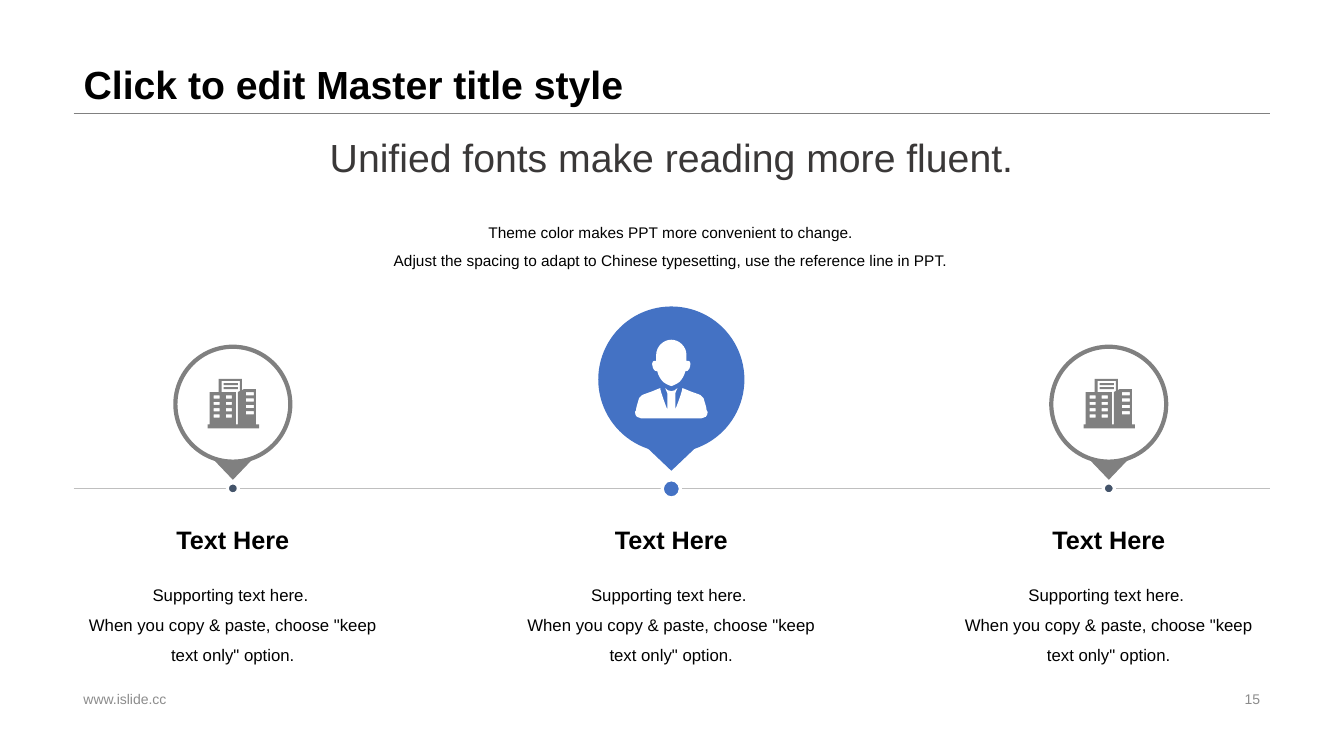
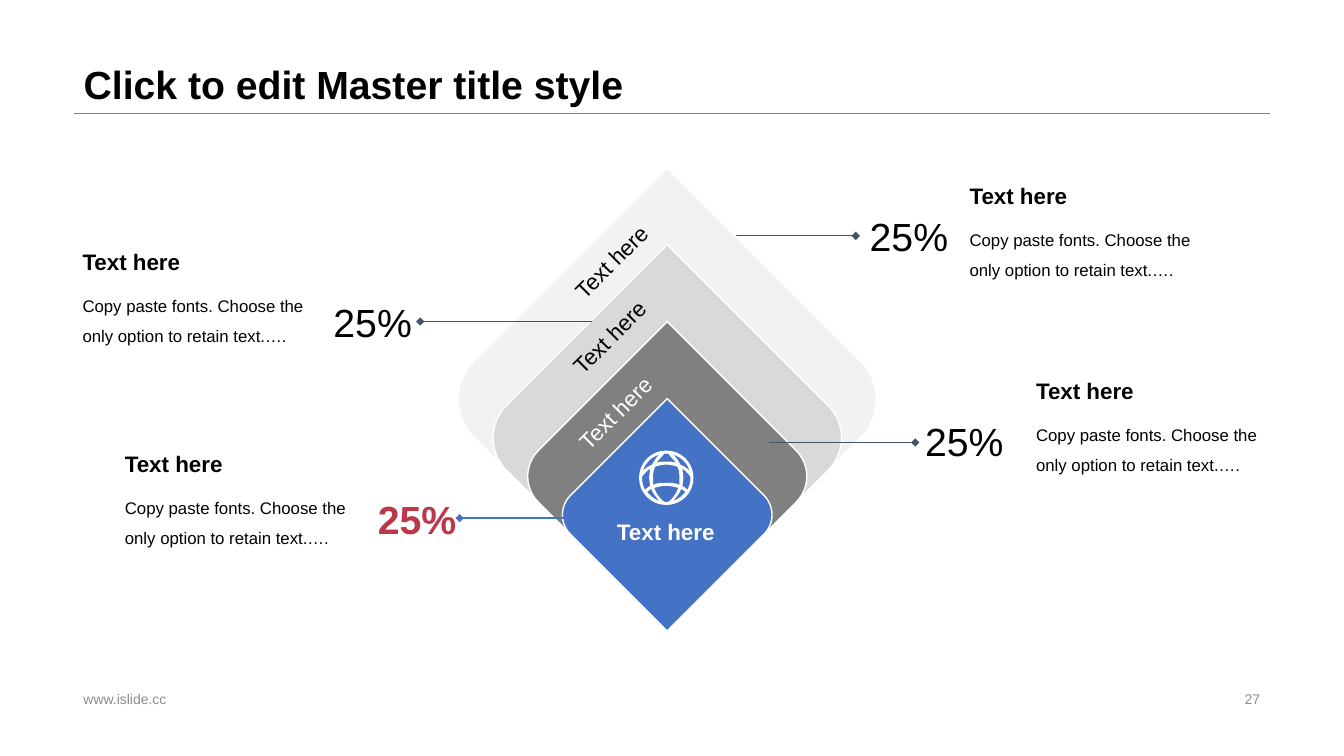
import math

import lxml.etree
import pptx
import pptx.dml.color
import pptx.enum.shapes
import pptx.enum.text
import pptx.oxml.ns
import pptx.util

PX = 9144  # EMU in one px, at 100 px to the inch
FONT = "Arial"
BLACK = pptx.dml.color.RGBColor(0x00, 0x00, 0x00)
WHITE = pptx.dml.color.RGBColor(0xFF, 0xFF, 0xFF)
CHARCOAL = pptx.dml.color.RGBColor(0x3A, 0x38, 0x38)
GRAY = pptx.dml.color.RGBColor(0x80, 0x80, 0x80)
FOOTER_GRAY = pptx.dml.color.RGBColor(0x8C, 0x8C, 0x8C)
SILVER = pptx.dml.color.RGBColor(0xBF, 0xBF, 0xBF)
LIGHT = pptx.dml.color.RGBColor(0xD9, 0xD9, 0xD9)
PALE = pptx.dml.color.RGBColor(0xF2, 0xF2, 0xF2)
SLATE = pptx.dml.color.RGBColor(0x44, 0x54, 0x6A)
BLUE = pptx.dml.color.RGBColor(0x44, 0x72, 0xC4)
RED = pptx.dml.color.RGBColor(0xBD, 0x37, 0x4A)

SHAPE = pptx.enum.shapes.MSO_SHAPE
STRAIGHT = pptx.enum.shapes.MSO_CONNECTOR.STRAIGHT
ALIGN = pptx.enum.text.PP_ALIGN
ANCHOR = pptx.enum.text.MSO_ANCHOR
qn = pptx.oxml.ns.qn


def write(page, text, left, top, width, height, *, size, color=BLACK, bold=False,
          align=ALIGN.LEFT, anchor=ANCHOR.TOP, spacing=1.0, wrap=True, rotation=0, box=None):
    """Put text, one paragraph a line, in a new text box or in the given one."""
    if box is None:
        box = page.shapes.add_textbox(0, 0, 0, 0)
    box.left, box.top, box.width, box.height = (n * PX for n in (left, top, width, height))
    box.rotation = rotation
    frame = box.text_frame
    frame.text = text
    frame.word_wrap = wrap
    frame.auto_size = pptx.enum.text.MSO_AUTO_SIZE.NONE
    frame.vertical_anchor = anchor
    for para in frame.paragraphs:
        para.alignment = align
        para.line_spacing = spacing
        para.font.name = FONT
        para.font.size = pptx.util.Pt(size)
        para.font.bold = bold
        para.font.color.rgb = color


def draw_icon(page, contours, left, top, color, mirror=False):
    """Fill contours whose steps are one point (line) or three (cubic curve).

    With mirror, x is measured from the axis: a contour that starts on the axis
    is completed by its reflection, any other one is drawn on both sides.
    """
    outlines = []
    for contour in contours:
        points = [point for step in contour for point in step]
        lengths = [len(step) for step in contour[1:]]
        reflection = [(-x, y) for x, y in reversed(points)]
        if not mirror:
            outlines.append((points, lengths))
        elif points[0][0] == 0:
            outlines.append((points + reflection[1:], lengths + lengths[::-1]))
        else:
            outlines += [(points, lengths), (reflection, lengths[::-1])]

    builder = None
    for points, lengths in outlines:
        scaled = [((left + x) * PX, (top + y) * PX) for x, y in points]
        if builder is None:
            builder = page.shapes.build_freeform(*scaled[0])
        else:
            builder.move_to(*scaled[0])
        builder.add_line_segments(scaled[1:], close=True)
    icon = builder.convert_to_shape()
    icon.fill.solid()
    icon.fill.fore_color.rgb = color
    icon.line.fill.background()

    # Three points in a row become one cubic curve
    segments = iter(list(icon.element.iter(qn("a:lnTo"))))
    for points, lengths in outlines:
        for length in lengths:
            segment = next(segments)
            if length == 3:
                segment.tag = qn("a:cubicBezTo")
                for _ in range(2):
                    follower = next(segments)
                    segment.append(follower[0])
                    follower.getparent().remove(follower)


# Icons
building = [
    [[(11, 0)], [(34, 0)], [(34, 11)], [(36, 10)], [(48, 10)], [(48, 45)], [(51, 45)],
     [(51, 49)], [(0, 49)], [(0, 45)], [(2, 45)], [(2, 13)], [(11, 13)]],
    [[(14, 2)], [(14, 13)], [(28, 13)], [(28, 45)], [(30, 45)], [(30, 13)], [(32, 12)], [(32, 2)]],
]
openings = [(16, y, 14, 2) for y in (4, 8)]
for x, first_row, width in ((6, 16.3, 6), (18, 16.3, 6), (38, 13, 8)):
    openings += [(x, first_row + 6.3 * row, width, 3.2) for row in range(4)]
for x, y, width, height in openings:
    building.append([[(x, y)], [(x + width, y)], [(x + width, y + height)], [(x, y + height)]])

person = [
    [[(0, 0)], [(8, 0), (15, 7), (15, 15)], [(15, 16), (15, 20), (15, 21)],
     [(15, 21), (19, 20), (19, 24)], [(18, 33), (14, 31), (14, 31)],
     [(13, 36), (10, 40), (8, 42)], [(4, 45), (0, 46), (0, 46)]],
    [[(0, 51)], [(2, 51), (5, 50), (6, 48)], [(4, 53)], [(4, 69)],
     [(5, 67), (11, 51), (11, 48)], [(14, 49), (18, 51), (21, 52)],
     [(21, 52), (27, 54), (29, 55)], [(30, 56), (31, 57), (32, 58)],
     [(33, 62), (35, 67), (35, 70)], [(36, 71), (36, 72), (36, 72)],
     [(36, 76), (33, 78), (30, 78)], [(0, 78)]],
]

globe = [
    [[(0, 0)], [(15, 0), (27, 12), (27, 27)], [(27, 42), (15, 54), (0, 54)]],
    [[(0, 3)], [(2, 3)], [(4, 6), (7, 9), (10, 12)], [(7, 11), (4, 11), (0, 11)]],
    [[(0, 14)], [(4, 14), (8, 15), (11, 16)], [(13, 20), (13, 23), (13, 27)],
     [(13, 29), (13, 32), (13, 34)], [(9, 32), (5, 32), (0, 32)]],
    [[(0, 35)], [(4, 35), (8, 36), (12, 37)], [(10, 43), (6, 48), (2, 51)], [(0, 51)]],
    [[(23, 20)], [(20, 17), (17, 15), (14, 14)], [(12, 10), (10, 7), (7, 4)],
     [(15, 7), (21, 12), (23, 20)]],
    [[(16, 35)], [(16, 33), (17, 30), (17, 27)], [(17, 24), (16, 21), (16, 18)],
     [(19, 20), (22, 23), (24, 26)], [(24, 27)], [(24, 32), (23, 35), (21, 39)],
     [(19, 37), (18, 36), (16, 35)]],
    [[(7, 50)], [(10, 46), (13, 43), (15, 38)], [(16, 39), (18, 40), (19, 41)],
     [(16, 45), (12, 48), (7, 50)]],
]

# Pages with title, rule, address and number
deck = pptx.Presentation()
deck.slide_width = round(1333.33 * PX)
deck.slide_height = 750 * PX
pages = []
for number in ("15", "27"):
    page = deck.slides.add_slide(deck.slide_layouts[5])
    pages.append(page)
    rule = page.shapes.add_connector(STRAIGHT, 73 * PX, 112 * PX, 1260 * PX, 112 * PX)
    rule.line.color.rgb = GRAY
    rule.line.width = pptx.util.Pt(0.25)
    write(page, "Click to edit Master title style", 73, 0, 1187, 112, size=28, bold=True,
          anchor=ANCHOR.BOTTOM, spacing=0.9, box=page.shapes.title)
    write(page, "www.islide.cc", 73, 682, 453, 23, size=10, color=FOOTER_GRAY,
          anchor=ANCHOR.MIDDLE)
    write(page, number, 942, 682, 318, 23, size=10, color=FOOTER_GRAY,
          align=ALIGN.RIGHT, anchor=ANCHOR.MIDDLE)
timeline_page, diamond_page = pages

# Timeline
timeline = timeline_page.shapes.add_connector(STRAIGHT, 73 * PX, 484 * PX, 1260 * PX, 484 * PX)
timeline.line.color.rgb = SILVER
timeline.line.width = pptx.util.Pt(0.25)
write(timeline_page, "Unified fonts make reading more fluent.", 72, 124, 1188, 64,
      size=28, color=CHARCOAL, align=ALIGN.CENTER, anchor=ANCHOR.MIDDLE)
write(timeline_page, "Theme color makes PPT more convenient to change.\n"
      "Adjust the spacing to adapt to Chinese typesetting, use the reference line in PPT.",
      72, 207, 1187, 65, size=11, align=ALIGN.CENTER, spacing=1.5)

# Each part: shape, top, width, height, rotation, fill, line, line width
side_marker = (
    (SHAPE.ISOSCELES_TRIANGLE, 418, 111, 58, 180, GRAY, None, 0),
    (SHAPE.OVAL, 344, 114, 114, 0, WHITE, GRAY, 3),
    (SHAPE.OVAL, 479, 11, 11, 0, SLATE, WHITE, 2.25),
)
middle_marker = (
    (SHAPE.ISOSCELES_TRIANGLE, 409, 122, 58, 180, BLUE, None, 0),
    (SHAPE.OVAL, 304, 145, 145, 0, BLUE, None, 0),
    (SHAPE.OVAL, 476, 18, 18, 0, BLUE, WHITE, 2.25),
)
for centre, marker in ((231, side_marker), (1100, side_marker), (666, middle_marker)):
    panel = timeline_page.shapes.add_shape(SHAPE.SNIP_2_SAME_RECTANGLE, 0, 0, PX, PX)
    panel.adjustments[0] = panel.adjustments[1] = 0
    panel.fill.background()
    panel.line.fill.background()
    write(timeline_page, "Supporting text here. \n"
          'When you copy & paste, choose "keep text only" option.',
          centre - 159, 565, 318, 106, size=12, align=ALIGN.CENTER, spacing=1.5, box=panel)
    write(timeline_page, "Text Here", centre - 159, 507, 318, 56, size=18, bold=True,
          align=ALIGN.CENTER, anchor=ANCHOR.MIDDLE)
    for kind, top, width, height, rotation, fill, line, weight in marker:
        part = timeline_page.shapes.add_shape(
            kind, round((centre - width / 2) * PX), top * PX, width * PX, height * PX)
        part.rotation = rotation
        part.fill.solid()
        part.fill.fore_color.rgb = fill
        if line is None:
            part.line.fill.background()
        else:
            part.line.color.rgb = line
            part.line.width = pptx.util.Pt(weight)
    if marker is middle_marker:
        draw_icon(timeline_page, person, centre, 337, WHITE, mirror=True)
    else:
        draw_icon(timeline_page, building, centre - 25, 376, GRAY)

# Nested diamonds that share their lowest corner
diamonds = []
for level, fill in enumerate((PALE, LIGHT, GRAY, BLUE)):
    side = 325 - 54 * level
    diamond = diamond_page.shapes.add_shape(
        SHAPE.ROUND_2_DIAG_RECTANGLE, round((662 - side / 2) * PX),
        round((626 - side * (1 + math.sqrt(2)) / 2) * PX), side * PX, side * PX)
    diamond.rotation = 315
    diamond.fill.solid()
    diamond.fill.fore_color.rgb = fill
    diamond.line.color.rgb = WHITE
    diamond.line.width = pptx.util.Pt(1)
    diamonds.append(diamond)
for left, top, rotation, color, bold in (
        (583, 509, 0, WHITE, True), (533, 391, 315, WHITE, False),
        (527, 316, 315, BLACK, False), (529, 241, 315, BLACK, False)):
    write(diamond_page, "Text here", left, top, 155, 37, size=16, color=color, bold=bold,
          align=ALIGN.CENTER, wrap=False, rotation=rotation)
draw_icon(diamond_page, globe, 661, 447, WHITE, mirror=True)

# Each callout: text left and top, share left and top, leader start, end and height, accent
leaders = []
for left, top, share_left, share_top, start, end, height, accent in (
        (952, 176, 853, 206, 704, 849, 234, False),
        (1018, 369, 908, 409, 763, 908, 439, False),
        (72, 241, 321, 291, 587, 417, 319, False),
        (114, 442, 365, 486, 579, 456, 514, True)):
    leader = diamond_page.shapes.add_connector(
        STRAIGHT, start * PX, height * PX, end * PX, height * PX)
    leader.line.color.rgb = BLUE if accent else SLATE
    leader.line.width = pptx.util.Pt(1.5 if accent else 0.75)
    outline = leader.element.spPr.find(qn("a:ln"))
    lxml.etree.SubElement(outline, qn("a:tailEnd"), type="diamond")
    leaders.append(leader)
    write(diamond_page, "25%", share_left, share_top, 99, 57, size=28, bold=accent,
          color=RED if accent else BLACK, wrap=False)
    write(diamond_page, "Copy paste fonts. Choose the only option to retain text.….",
          left, top + 37, 242, 67, size=12, spacing=1.5)
    write(diamond_page, "Text here", left, top, 242, 37, size=16, bold=True)
# The first leader starts behind the diamonds
diamonds[0].element.addprevious(leaders[0].element)

# No shadows
for page in pages:
    for shape in page.shapes:
        if shape.shape_type == pptx.enum.shapes.MSO_SHAPE_TYPE.LINE:
            lxml.etree.SubElement(shape.element.spPr, qn("a:effectLst"))
        elif not shape.is_placeholder:
            shape.shadow.inherit = False

deck.save("out.pptx")
